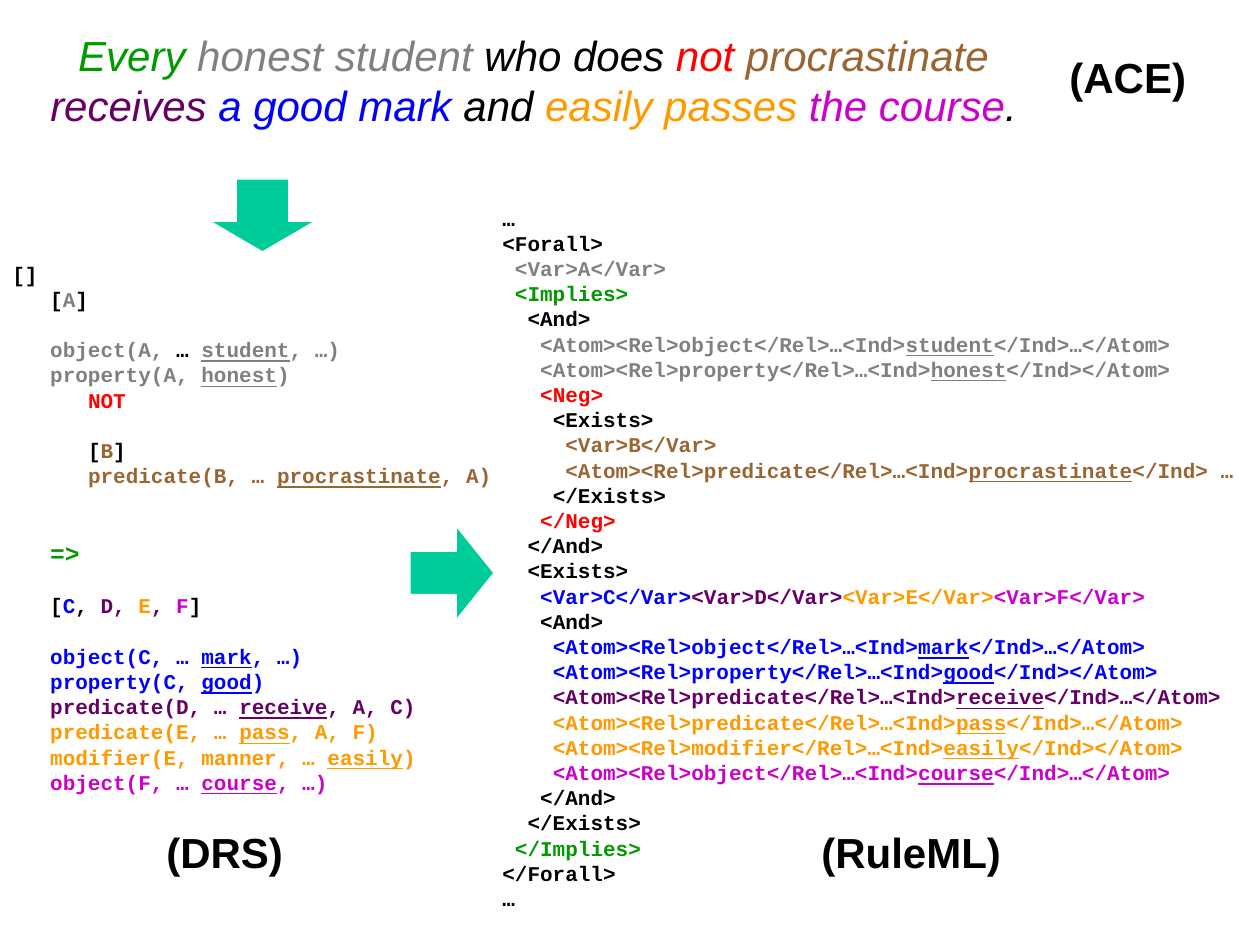
from dataclasses import dataclass
from typing import NamedTuple

from pptx import Presentation, util as u
from pptx.dml import color as dml
from pptx.enum import shapes, text


@dataclass(frozen=True)
class Theme:
    black: str = "000000"
    gray: str = "808080"
    green: str = "009900"
    red: str = "FF0000"
    brown: str = "996633"
    purple: str = "660066"
    blue: str = "0000FF"
    orange: str = "FF9900"
    magenta: str = "CC00CC"
    arrow: str = "00CC99"
    white: str = "FFFFFF"
    sans: str = "Arial"
    mono: str = "Courier New"
    code_size: int = 12
    implication_size: int = 14
    heading_size: int = 24
    code_character: float = 7.2
    leading: float = 1.2


class Box(NamedTuple):
    left: int
    top: int
    width: int
    height: int


class Span(NamedTuple):
    text: str
    color: str
    underlined: bool = False


class Line(NamedTuple):
    indent: int
    spans: list[Span]
    blank_before: int = 0
    size: int = 12


class Label(NamedTuple):
    text: str
    box: Box


class Arrow(NamedTuple):
    kind: shapes.MSO_SHAPE
    box: Box
    adjustments: tuple[float, float]


T = Theme()
EMU_PER_PX = 914400 / 126


def px(length: int) -> u.Emu:
    return u.Emu(round(length * EMU_PER_PX))


def term(color: str, before: str, word: str, after: str) -> list[Span]:
    return [Span(before, color), Span(word, color, True), Span(after, color)]


def atom(color: str, relation: str, word: str, after: str = "</Ind>…</Atom>") -> list[Span]:
    return term(color, f"<Atom><Rel>{relation}</Rel>…<Ind>", word, after)


def plain(value: str, color: str = T.black) -> list[Span]:
    return [Span(value, color)]


def variable(name: str, color: str) -> Span:
    return Span(f"<Var>{name}</Var>", color)


TITLE_BOX = Box(0, 23, 1067, 113)
TITLE = [
    [Span("Every ", T.green), Span("honest student", T.gray), Span(" who does ", T.black),
     Span("not ", T.red), Span("procrastinate", T.brown)],
    [Span("receives ", T.purple), Span("a good mark", T.blue), Span(" and ", T.black),
     Span("easily passes ", T.orange), Span("the course", T.magenta), Span(".", T.black)],
]

DRS_BOX = Box(0, 255, 525, 546)
DRS = [
    Line(0, plain("[]")),
    Line(3, [Span("[", T.black), Span("A", T.gray), Span("]", T.black)]),
    Line(3, [Span("object(A, ", T.gray), Span("… ", T.black),
             Span("student", T.gray, True), Span(", …)", T.gray)], 1),
    Line(3, term(T.gray, "property(A, ", "honest", ")")),
    Line(6, plain("NOT", T.red)),
    Line(6, [Span("[", T.black), Span("B", T.brown), Span("]", T.black)], 1),
    Line(6, term(T.brown, "predicate(B, … ", "procrastinate", ", A)")),
    Line(3, plain("=>", T.green), 2, T.implication_size),
    Line(3, [Span("[", T.black), Span("C", T.blue), Span(", ", T.black), Span("D, ", T.purple),
             Span("E", T.orange), Span(", ", T.purple), Span("F", T.magenta),
             Span("]", T.black)], 1),
    Line(3, term(T.blue, "object(C, … ", "mark", ", …)"), 1),
    Line(3, term(T.blue, "property(C, ", "good", ")")),
    Line(3, term(T.purple, "predicate(D, … ", "receive", ", A, C)")),
    Line(3, term(T.orange, "predicate(E, … ", "pass", ", A, F)")),
    Line(3, term(T.orange, "modifier(E, manner, … ", "easily", ")")),
    Line(3, term(T.magenta, "object(F, … ", "course", ", …)")),
]

RULEML_BOX = Box(490, 199, 770, 718)
RULEML = [
    Line(0, plain("…")),
    Line(0, plain("<Forall>")),
    Line(1, [variable("A", T.gray)]),
    Line(1, plain("<Implies>", T.green)),
    Line(2, plain("<And>")),
    Line(3, atom(T.gray, "object", "student")),
    Line(3, atom(T.gray, "property", "honest", "</Ind></Atom>")),
    Line(3, plain("<Neg>", T.red)),
    Line(4, plain("<Exists>")),
    Line(5, [variable("B", T.brown)]),
    Line(5, atom(T.brown, "predicate", "procrastinate", "</Ind> …")),
    Line(4, plain("</Exists>")),
    Line(3, plain("</Neg>", T.red)),
    Line(2, plain("</And>")),
    Line(2, plain("<Exists>")),
    Line(3, [variable("C", T.blue), variable("D", T.purple),
             variable("E", T.orange), variable("F", T.magenta)]),
    Line(3, plain("<And>")),
    Line(4, atom(T.blue, "object", "mark")),
    Line(4, atom(T.blue, "property", "good", "</Ind></Atom>")),
    Line(4, atom(T.purple, "predicate", "receive")),
    Line(4, atom(T.orange, "predicate", "pass")),
    Line(4, atom(T.orange, "modifier", "easily", "</Ind></Atom>")),
    Line(4, atom(T.magenta, "object", "course")),
    Line(3, plain("</And>")),
    Line(2, plain("</Exists>")),
    Line(1, plain("</Implies>", T.green)),
    Line(0, plain("</Forall>")),
    Line(0, plain("…")),
]

ARROWS = [
    Arrow(shapes.MSO_SHAPE.RIGHT_ARROW, Box(410, 526, 84, 94), (0.46, 0.45)),
    Arrow(shapes.MSO_SHAPE.DOWN_ARROW, Box(210, 179, 105, 73), (0.5, 0.42)),
]
LABELS = [
    Label("(ACE)", Box(1057, 45, 159, 63)),
    Label("(DRS)", Box(154, 820, 144, 63)),
    Label("(RuleML)", Box(809, 820, 208, 63)),
]


def prepare_frame(frame) -> None:
    frame.word_wrap = True
    frame.auto_size = text.MSO_AUTO_SIZE.NONE
    frame.vertical_anchor = text.MSO_ANCHOR.TOP


def add_text_frame(page, box: Box):
    frame = page.shapes.add_textbox(*map(px, box)).text_frame
    prepare_frame(frame)
    return frame


def write_line(frame, index: int, spans: list[Span], font: str, size: int):
    para = frame.add_paragraph() if index else frame.paragraphs[0]
    para.font.name, para.font.size = font, u.Pt(size)
    para.line_spacing = u.Pt(size * T.leading)
    para.space_before = u.Pt(0)
    for span in spans:
        run = para.add_run()
        run.text = span.text
        run.font.color.rgb = dml.RGBColor.from_string(span.color)
        if span.underlined:
            run.font.underline = True
    return para


def draw_title(page) -> None:
    title = page.shapes.title
    title.left, title.top, title.width, title.height = map(px, TITLE_BOX)
    prepare_frame(title.text_frame)
    for index, spans in enumerate(TITLE):
        para = write_line(title.text_frame, index, spans, T.sans, T.heading_size)
        para.alignment = text.PP_ALIGN.CENTER
        para.font.italic = True


def draw_code(page, box: Box, lines: list[Line]) -> None:
    frame = add_text_frame(page, box)
    for index, line in enumerate(lines):
        para = write_line(frame, index, line.spans, T.mono, line.size)
        para.font.bold = True
        para.space_before = u.Pt(line.blank_before * T.code_size * T.leading)
        properties = para._p.get_or_add_pPr()
        properties.set("marL", str(u.Pt(line.indent * T.code_character)))
        properties.set("indent", "0")


def draw_arrow(page, arrow: Arrow) -> None:
    shape = page.shapes.add_shape(arrow.kind, *map(px, arrow.box))
    shape.shadow.inherit = False
    for index, value in enumerate(arrow.adjustments):
        shape.adjustments[index] = value
    shape.fill.solid()
    shape.fill.fore_color.rgb = dml.RGBColor.from_string(T.arrow)
    shape.line.color.rgb = dml.RGBColor.from_string(T.white)
    shape.line.width = u.Pt(0.75)


def draw_label(page, label: Label) -> None:
    frame = add_text_frame(page, label.box)
    write_line(frame, 0, plain(label.text), T.sans, T.heading_size).font.bold = True


def main() -> None:
    deck = Presentation()
    deck.slide_width, deck.slide_height = px(1260), px(945)
    page = deck.slides.add_slide(deck.slide_layouts[5])
    draw_title(page)
    draw_code(page, DRS_BOX, DRS)
    draw_code(page, RULEML_BOX, RULEML)
    for arrow in ARROWS:
        draw_arrow(page, arrow)
    for label in LABELS:
        draw_label(page, label)
    deck.save("out.pptx")


if __name__ == "__main__":
    main()
